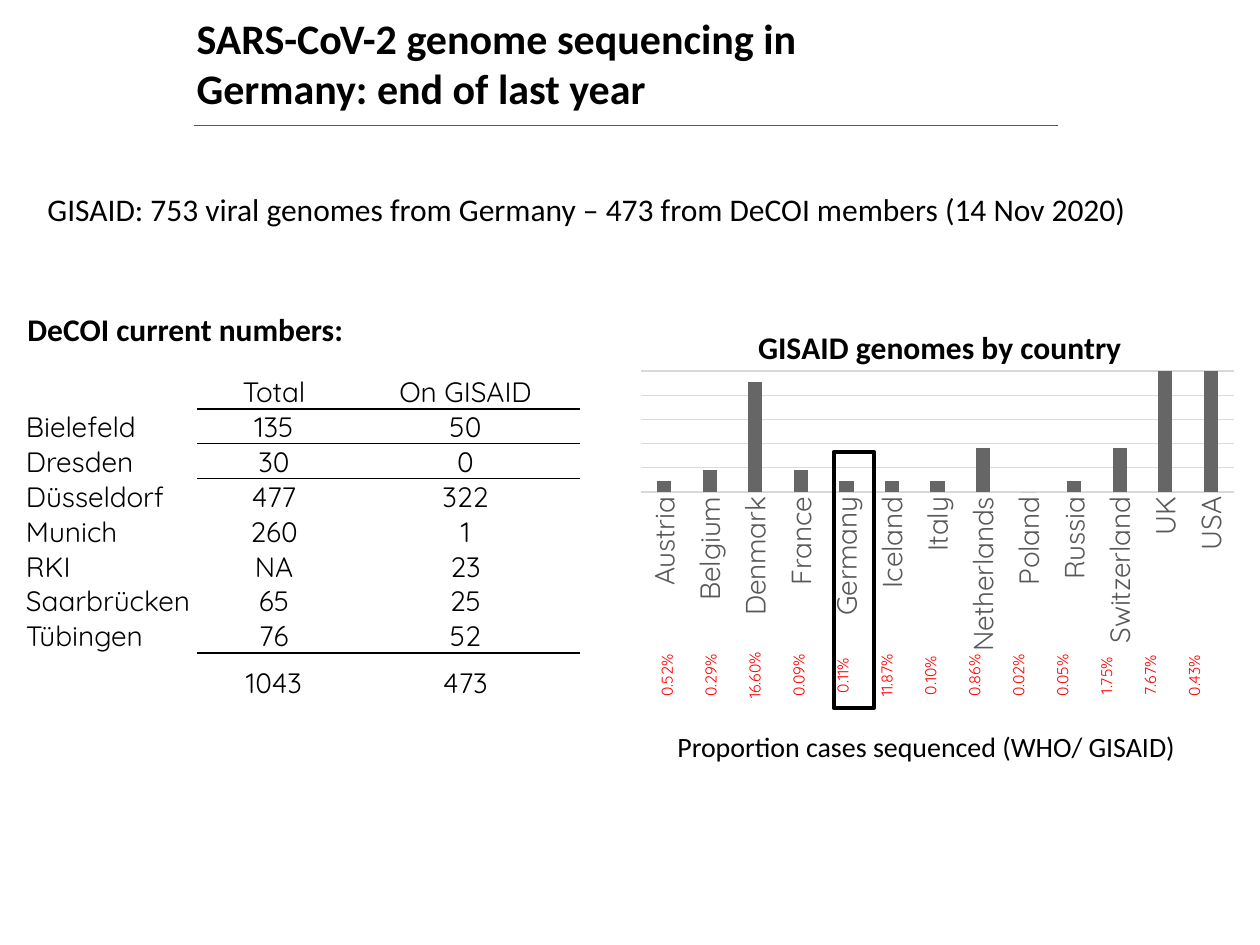
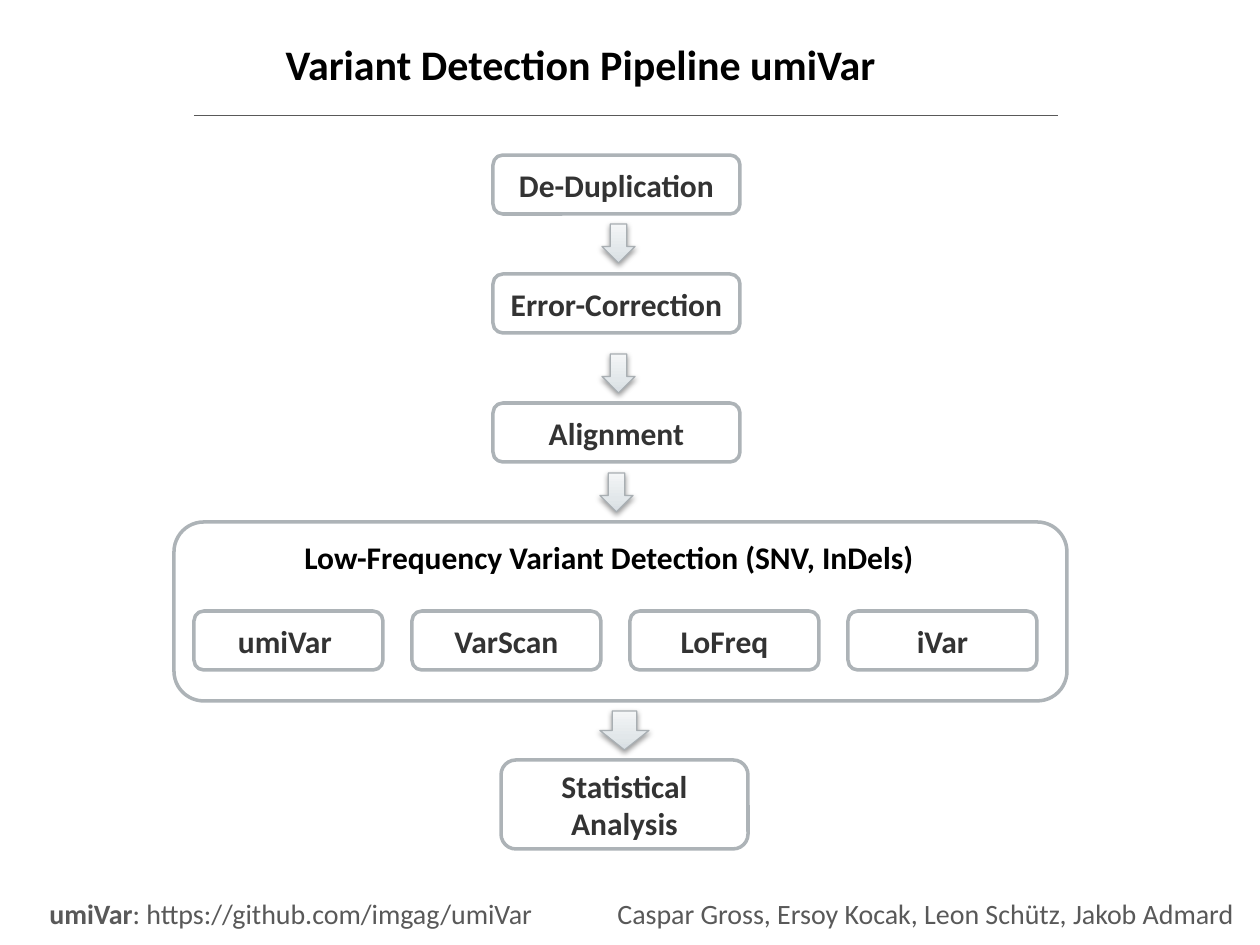
"""Builds two slides on viral genome sequencing and variant detection."""
from copy import deepcopy
from lxml.etree import SubElement
from pptx import Presentation
from pptx.chart.data import CategoryChartData
from pptx.dml.color import RGBColor
from pptx.enum.chart import XL_CHART_TYPE, XL_TICK_MARK
from pptx.enum.shapes import MSO_CONNECTOR, MSO_SHAPE
from pptx.enum.text import MSO_ANCHOR, MSO_AUTO_SIZE, PP_ALIGN
from pptx.oxml.ns import qn
from pptx.util import Emu, Pt

HUES = {"ink": "000000", "dark": "333333", "grey": "595959", "edge": "ADB3B7",
        "white": "FFFFFF", "red": "FF0000", "bar": "666666", "mesh": "D9D9D9",
        "rim": "A9AFB3", "low": "D7DEE3", "mid": "E2E7EA", "high": "F4F6F7"}
BODY, DATA = "Calibri", "Quicksand"
PLAIN = "{2D5ABB26-0587-4C30-8999-92F81FD0307C}"


def px(num):
    return Emu(num * 914400 // 126)


def hue(name):
    return RGBColor.from_string(HUES[name])


class Deck:
    def __init__(self):
        self.prs = Presentation()
        self.prs.slide_width, self.prs.slide_height = px(1260), px(945)

    def font(self, item, size, color="ink", bold=False, face=BODY):
        font = item.font
        font.name, font.size, font.bold = face, Pt(size), bold
        font.color.rgb = hue(color)

    def stroke(self, line, color, width):
        line.color.rgb = hue(color)
        line.width = Pt(width)

    def slide(self, title, box, rule):
        self.page = self.prs.slides.add_slide(self.prs.slide_layouts[5])
        head = self.page.shapes.title
        head.left, head.top, head.width, head.height = map(px, box)
        frame = head.text_frame
        frame.text = title
        frame.auto_size = MSO_AUTO_SIZE.NONE
        frame.vertical_anchor = MSO_ANCHOR.TOP
        frame.paragraphs[0].alignment = PP_ALIGN.LEFT
        self.font(frame.paragraphs[0].runs[0], 24, bold=True)
        line = self.page.shapes.add_connector(
            MSO_CONNECTOR.STRAIGHT, *map(px, (194, rule, 1058, rule)))
        self.stroke(line.line, "grey", 0.5)
        SubElement(line._element.spPr, qn("a:effectLst"))

    def text(self, box, text, size, color="ink", bold=False, wrap=False):
        frame = self.page.shapes.add_textbox(*map(px, box)).text_frame
        frame.word_wrap = wrap
        frame.text = text
        self.font(frame.paragraphs[0].runs[0], size, color, bold)
        return frame.paragraphs[0]

    def shape(self, kind, box, color, width):
        form = self.page.shapes.add_shape(kind, *map(px, box))
        form.shadow.inherit = False
        self.stroke(form.line, color, width)
        return form

    def frame(self, box):
        self.shape(MSO_SHAPE.RECTANGLE, box, "ink", 2.5).fill.background()

    def panel(self, box, text=""):
        form = self.shape(MSO_SHAPE.ROUNDED_RECTANGLE, box, "edge", 2)
        form.fill.solid()
        form.fill.fore_color.rgb = hue("white")
        if text:
            form.text_frame.text = text
            para = form.text_frame.paragraphs[0]
            para.alignment = PP_ALIGN.CENTER
            self.font(para.runs[0], 18, "dark", True)

    def arrow(self, box):
        form = self.shape(MSO_SHAPE.DOWN_ARROW, box, "rim", 0.75)
        form.fill.gradient()
        form.fill.gradient_angle = 90
        props = form._element.spPr
        ramp = props.find(".//" + qn("a:gsLst"))
        ramp.insert(1, deepcopy(ramp[0]))
        for stop, name, place in zip(form.fill.gradient_stops,
                                     ("low", "mid", "high"), (0, 0.35, 1)):
            stop.color.rgb = hue(name)
            stop.position = place
        glow = SubElement(props.find(qn("a:effectLst")), qn("a:outerShdw"),
                          blurRad=str(Pt(3.1)), dist=str(Pt(1.6)),
                          dir="5400000", rotWithShape="0")
        tint = SubElement(glow, qn("a:srgbClr"), val=HUES["ink"])
        SubElement(tint, qn("a:alpha"), val="38000")

    def border(self, cell, side):
        line = SubElement(cell._tc.get_or_add_tcPr(), qn("a:" + side),
                          w=str(Pt(1)))
        fill = SubElement(line, qn("a:solidFill"))
        SubElement(fill, qn("a:srgbClr"), val=HUES["ink"])

    def table(self, spot, rows, cols, highs, size, color="ink", rules=(),
              turn=False):
        box = (*spot, sum(cols), sum(highs))
        table = self.page.shapes.add_table(
            len(rows), len(cols), *map(px, box)).table
        table.first_row = table.horz_banding = False
        table._tbl.tblPr.find(qn("a:tableStyleId")).text = PLAIN
        for col, wide in zip(table.columns, cols):
            col.width = px(wide)
        for row, high in zip(table.rows, highs):
            row.height = px(high)
        for r, row in enumerate(rows):
            for c, text in enumerate(row):
                cell = table.cell(r, c)
                for side, rule in (("lnT", r - 1), ("lnB", r)):
                    if c and rule in rules:
                        self.border(cell, side)
                cell.fill.background()
                cell.margin_left = cell.margin_right = cell.margin_top = px(1)
                cell.margin_bottom = 0
                last = r == len(rows) - 1
                cell.vertical_anchor = (MSO_ANCHOR.MIDDLE if last
                                        else MSO_ANCHOR.BOTTOM)
                para = cell.text_frame.paragraphs[0]
                para.text = text
                if c or turn:
                    para.alignment = PP_ALIGN.CENTER
                for run in para.runs:
                    self.font(run, size, color, face=DATA)
                if turn:
                    cell._tc.tcPr.set("vert", "vert270")

    def place(self, item, index, **spots):
        old = item.find(qn("c:layout"))
        if old is not None:
            item.remove(old)
        layout = SubElement(item, qn("c:layout"))
        item.insert(index, layout)
        manual = SubElement(layout, qn("c:manualLayout"))
        for name, value in spots.items():
            SubElement(manual, qn("c:" + name), val=str(value))

    def chart(self, box, title, data):
        feed = CategoryChartData()
        feed.categories = list(data)
        feed.add_series("Series 1", list(data.values()))
        chart = self.page.shapes.add_chart(
            XL_CHART_TYPE.COLUMN_CLUSTERED, *map(px, box), feed).chart
        self.font(chart, 10.5, face=DATA)
        chart.has_legend = False
        head = chart.chart_title
        head.text_frame.text = title
        self.font(head.text_frame.paragraphs[0].runs[0], 18, bold=True)
        self.place(head._element, 1, xMode="edge", yMode="edge",
                   x=0.2, y=0.07)
        self.place(chart._chartSpace.chart.plotArea, 0, layoutTarget="inner",
                   xMode="edge", yMode="edge", x=0.02, y=0.21, w=0.96, h=0.33)
        plot = chart.plots[0]
        plot.gap_width, plot.overlap = 219, -27
        plot.vary_by_categories = False
        fill = plot.series[0].format.fill
        fill.solid()
        fill.fore_color.rgb = hue("bar")
        base = chart.category_axis
        base.major_tick_mark = XL_TICK_MARK.NONE
        self.font(base.tick_labels, 16, "grey", face=DATA)
        self.stroke(base.format.line, "mesh", 0.75)
        base._element.txPr.bodyPr.set("rot", "-5400000")
        base._element.txPr.bodyPr.set("vert", "horz")
        side = chart.value_axis
        side.minimum_scale, side.maximum_scale, side.major_unit = 0, 11, 2.2
        side.has_major_gridlines = True
        self.stroke(side.major_gridlines.format.line, "mesh", 0.75)
        side.visible = False


def genomes(deck):
    deck.slide("SARS-CoV-2 genome sequencing in Germany: end of last year",
               (184, 6, 665, 115), 125)
    deck.text((35, 184, 1142, 50), "GISAID: 753 viral genomes from Germany – "
              "473 from DeCOI members (14 Nov 2020)", 18, wrap=True)
    sites = [("", "Total", "On GISAID"), ("Bielefeld", "135", "50"),
             ("Dresden", "30", "0"), ("Düsseldorf", "477", "322"),
             ("Munich", "260", "1"), ("RKI", "NA", "23"),
             ("Saarbrücken", "65", "25"), ("Tübingen", "76", "52"),
             ("", "1043", "473")]
    deck.table((25, 350), sites, (172, 154, 229),
               (59, *(34, 35) * 3, 35, 59), 16, rules=(0, 1, 7))
    deck.text((15, 304, 345, 50), "DeCOI current numbers:", 18, bold=True)
    lands = {"Austria": 1, "Belgium": 2, "Denmark": 10, "France": 2,
             "Germany": 1, "Iceland": 1, "Italy": 1, "Netherlands": 4,
             "Poland": 0, "Russia": 1, "Switzerland": 4, "UK": 100, "USA": 46}
    deck.chart((629, 294, 617, 367), "GISAID genomes by country", lands)
    rates = ("0.52%", "0.29%", "16.60%", "0.09%", "0.11%", "11.87%", "0.10%",
             "0.86%", "0.02%", "0.05%", "1.75%", "7.67%", "0.43%")
    deck.table((656, 631), [rates], [44] * len(rates), [89], 9, "red",
               turn=True)
    deck.text((665, 723, 556, 47), "Proportion cases sequenced (WHO/ GISAID)",
              16, wrap=True)
    deck.frame((834, 452, 40, 256))


def pipeline(deck):
    deck.slide("Variant Detection Pipeline umiVar", (273, 32, 665, 63), 115)
    for top, step in ((155, "De-Duplication"), (274, "Error-Correction"),
                      (403, "Alignment")):
        deck.panel((493, top, 247, 59), step)
    deck.panel((174, 522, 893, 179))
    for i, tool in enumerate(("umiVar ", "VarScan", "LoFreq", "iVar")):
        deck.panel((194 + 218 * i, 611, 189, 59), tool)
    deck.text((292, 532, 648, 50),
              "Low-Frequency Variant Detection (SNV, InDels)", 18, bold=True)
    for left, top, wide in ((602, 224, 33), (602, 354, 33), (600, 473, 33),
                            (600, 711, 49)):
        deck.arrow((left, top, wide, 39))
    deck.panel((501, 760, 247, 89), "Statistical Analysis")
    deck.text((605, 890, 660, 47),
              "Caspar Gross, Ersoy Kocak, Leon Schütz, Jakob Admard",
              16, "grey")
    para = deck.text((37, 890, 519, 47), "umiVar", 16, "grey", True)
    link = para.add_run()
    link.text = ": https://github.com/imgag/umiVar"
    deck.font(link, 16, "grey")


def main():
    deck = Deck()
    genomes(deck)
    pipeline(deck)
    deck.prs.save("out.pptx")


if __name__ == "__main__":
    main()
